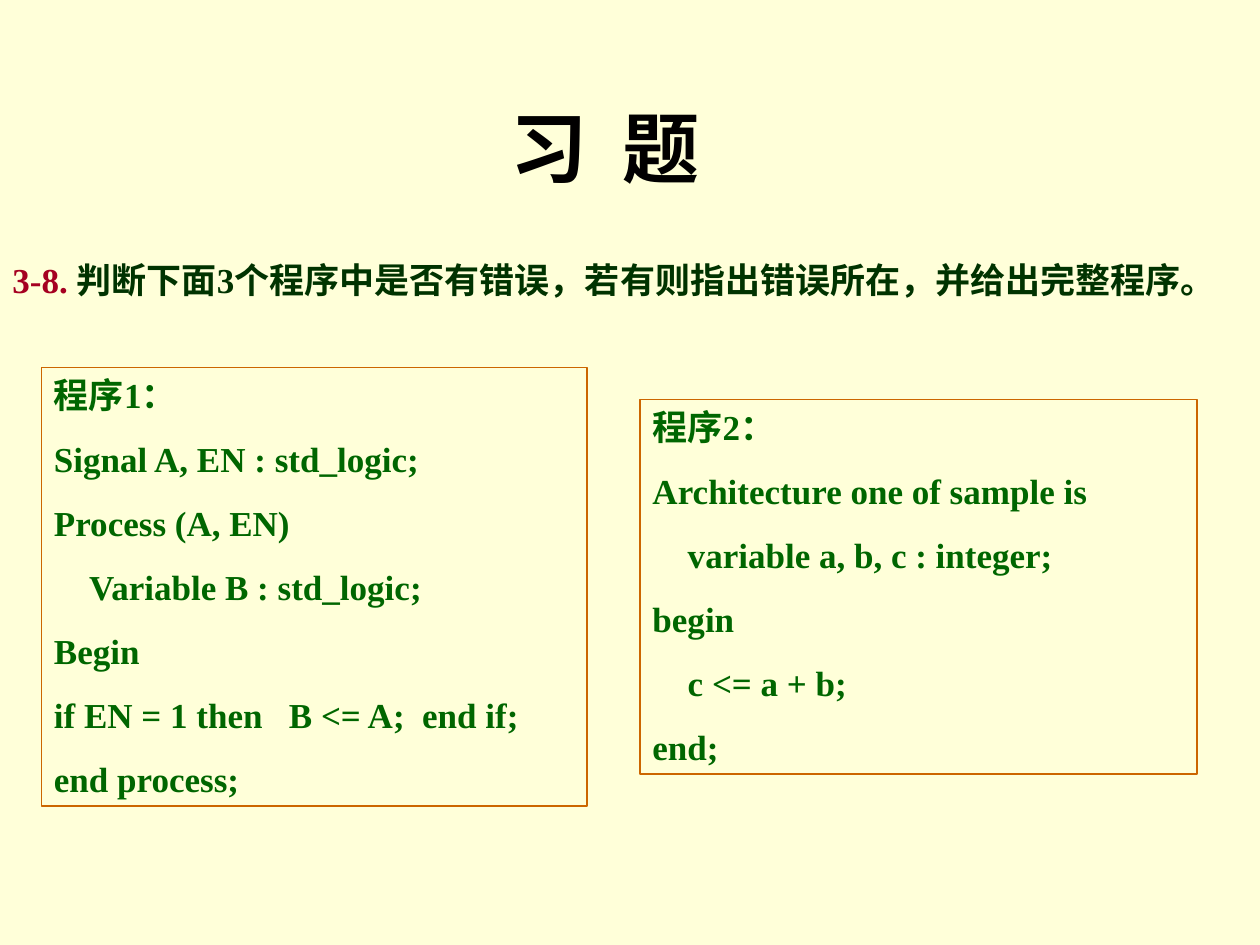
from pptx import Presentation
from pptx import util as u
from pptx.dml.color import RGBColor
from pptx.enum import shapes, text
from pptx.oxml.ns import qn
from lxml import etree

WIDE, HIGH = 10, 7.5
SANS, SERIF = "Noto Sans CJK SC", "Times New Roman"
GREEN, DARK, RED = "006600", "003300", "A50021"
SIZE = 20
STEP = 0.28  # one level of code indent, inches

FIRST = [
    (0, "程序1："),
    (0, "Signal A, EN : std_logic;"),
    (0, "Process (A, EN)"),
    (1, "Variable B : std_logic;"),
    (0, "Begin"),
    (0, "if EN = 1 then   B <= A;  end if;"),
    (0, "end process;"),
]
SECOND = [
    (0, "程序2："),
    (0, "Architecture one of sample is"),
    (1, "variable a, b, c : integer;"),
    (0, "begin"),
    (1, "c <= a + b;"),
    (0, "end;"),
]


def paint(color, code):
    color.rgb = RGBColor.from_string(code)


def place(left, top, width, height):
    """Turn shares of the slide into lengths."""
    return (u.Inches(left * WIDE), u.Inches(top * HIGH),
            u.Inches(width * WIDE), u.Inches(height * HIGH))


def style(run, size, face, code):
    font = run.font
    font.size, font.bold, font.name = u.Pt(size), True, face
    paint(font.color, code)
    east = etree.SubElement(run._r.get_or_add_rPr(), qn("a:ea"))
    east.set("typeface", SANS)


def space(para, size, align):
    """Set line and paragraph gaps in proportion to the text size."""
    para.alignment = align
    para.line_spacing = u.Pt(size * 1.2)
    para.space_before = u.Pt(size * 0.625)


def setup(frame):
    frame.word_wrap = True
    frame.auto_size = text.MSO_AUTO_SIZE.SHAPE_TO_FIT_TEXT
    frame.vertical_anchor = text.MSO_ANCHOR.TOP


def label(slide, area, runs, size, align):
    frame = slide.shapes.add_textbox(*place(*area)).text_frame
    setup(frame)
    para = frame.paragraphs[0]
    space(para, size, align)
    for words, face, code in runs:
        run = para.add_run()
        run.text = words
        style(run, size, face, code)


def listing(slide, area, lines):
    """Draw a framed block of code from (level, words) pairs."""
    box = slide.shapes.add_shape(shapes.MSO_SHAPE.RECTANGLE, *place(*area))
    box.shadow.inherit = False
    box.fill.background()
    paint(box.line.color, "CC6600")
    box.line.width = u.Pt(0.75)
    frame = box.text_frame
    setup(frame)
    frame.text = "\n".join(words for _, words in lines)
    for para, (level, _) in zip(frame.paragraphs, lines):
        space(para, SIZE, text.PP_ALIGN.JUSTIFY)
        para._p.get_or_add_pPr().set("marL", str(u.Inches(STEP * level)))
        style(para.runs[0], SIZE, SERIF, GREEN)


def main():
    deck = Presentation()
    deck.slide_width, deck.slide_height = u.Inches(WIDE), u.Inches(HIGH)
    slide = deck.slides.add_slide(deck.slide_layouts[6])
    fill = slide.background.fill
    fill.solid()
    paint(fill.fore_color, "FFFFD9")

    label(slide, (0.033, 0.1, 0.908, 0.112), [("习  题 ", SANS, "010000")],
          44, text.PP_ALIGN.CENTER)
    label(slide, (0, 0.267, 1, 0.058), [
        ("3-8. ", SERIF, RED),
        ("判断下面", SANS, DARK),
        ("3", SERIF, DARK),
        ("个程序中是否有错误，若有则指出错误所在，并给出完整程序。", SANS, DARK),
    ], SIZE, text.PP_ALIGN.JUSTIFY)
    listing(slide, (0.033, 0.389, 0.433, 0.464), FIRST)
    listing(slide, (0.508, 0.423, 0.442, 0.396), SECOND)
    deck.save("out.pptx")


if __name__ == "__main__":
    main()
